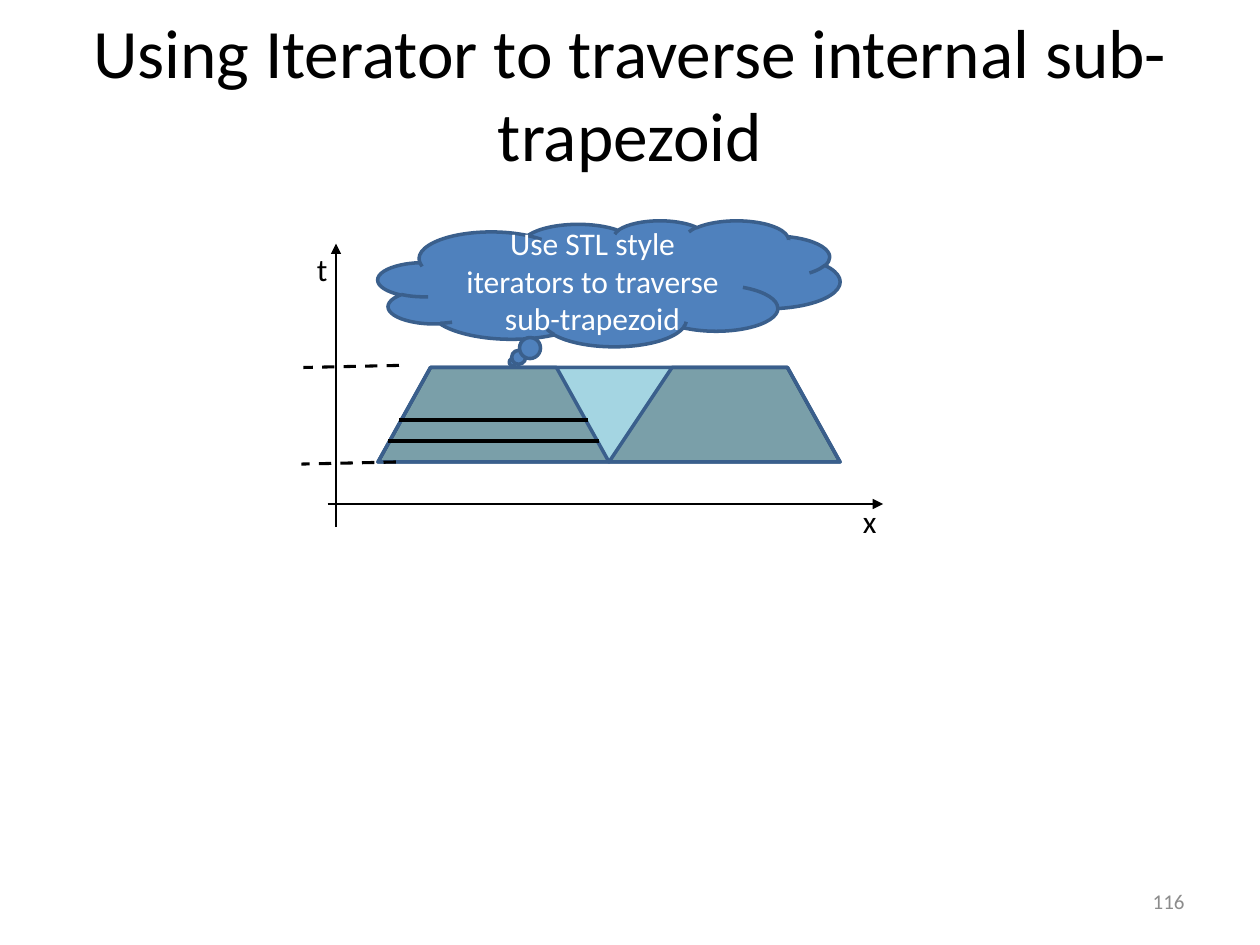
from lxml import etree
from pptx import Presentation, util as u
from pptx.dml.color import RGBColor
from pptx.enum import dml, shapes, text
from pptx.oxml.ns import qn

BLACK = RGBColor(0x00, 0x00, 0x00)
WHITE = RGBColor(0xFF, 0xFF, 0xFF)
GRAY = RGBColor(0x8C, 0x8C, 0x8C)
BLUE = RGBColor(0x4F, 0x81, 0xBD)
OUTLINE = RGBColor(0x3A, 0x5F, 0x8C)
TEAL = RGBColor(0x4B, 0xAC, 0xC6)

deck = Presentation()
deck.slide_width, deck.slide_height = u.Inches(10), u.Inches(7.5)
page = deck.slides.add_slide(deck.slide_layouts[5])
CELL = deck.slide_width / 120  # square grid, 120 columns by 90 rows


def grid(*cells):
    return [round(cell * CELL) for cell in cells]


def write(shape, words, size, color, align, anchor):
    frame = shape.text_frame
    frame.text = words
    frame.vertical_anchor = anchor
    para = frame.paragraphs[0]
    para.alignment = align
    font = para.runs[0].font
    font.name, font.size = "Calibri", u.Pt(size)
    font.color.rgb = color


LEFT, CENTER, RIGHT = text.PP_ALIGN.LEFT, text.PP_ALIGN.CENTER, text.PP_ALIGN.RIGHT
TOP, MIDDLE = text.MSO_ANCHOR.TOP, text.MSO_ANCHOR.MIDDLE

title = page.shapes.title
title.left, title.top, title.width, title.height = grid(6, 3.6, 108, 10.4)
write(title, "Using Iterator to traverse internal sub-trapezoid", 39.6, BLACK, CENTER, MIDDLE)
title.text_frame.auto_size = text.MSO_AUTO_SIZE.NONE

# Trapezoid cut into two side trapezoids around an inverted triangle
upper, lower = 35, 44
pieces = [
    (TEAL, 50, [(41, upper), (75, upper), (80, lower), (36, lower)]),
    (BLACK, 25, [(36, lower), (41, upper), (53, upper), (58, lower)]),
    (BLACK, 25, [(58, lower), (64, upper), (75, upper), (80, lower)]),
]
for color, opacity, corners in pieces:
    builder = page.shapes.build_freeform(*corners[0], scale=CELL)
    builder.add_line_segments(corners[1:], close=True)
    piece = builder.convert_to_shape()
    piece.shadow.inherit = False
    piece.fill.solid()
    piece.fill.fore_color.rgb = color
    fill_color = piece.fill._xPr.find(qn("a:solidFill"))[0]
    etree.SubElement(fill_color, qn("a:alpha"), val=str(opacity * 1000))
    piece.line.color.rgb, piece.line.width = OUTLINE, u.Pt(2)

# Start, end, width, dashed, arrowhead
lines = [
    ((31.2, 48), (84.1, 48), 0.75, False, True),
    ((32, 50.2), (32, 23.2), 0.75, False, True),
    ((37.7, 44), (28.7, 44.2), 1.75, True, False),
    ((38, 34.8), (28.9, 35), 1.75, True, False),
    ((37, 42), (57, 42), 2, False, False),
    ((38, 40), (56, 40), 2, False, False),
]
for start, end, width, dashed, arrow in lines:
    line = page.shapes.add_connector(shapes.MSO_CONNECTOR.STRAIGHT, *grid(*start, *end))
    line.line.color.rgb, line.line.width = BLACK, u.Pt(width)
    if dashed:
        line.line.dash_style = dml.MSO_LINE.DASH
    if arrow:
        etree.SubElement(line.line._get_or_add_ln(), qn("a:tailEnd"), type="triangle")
    etree.SubElement(line._element.spPr, qn("a:effectLst"))

cloud = page.shapes.add_shape(shapes.MSO_SHAPE.CLOUD_CALLOUT, *grid(36, 21, 44, 12))
cloud.shadow.inherit = False
cloud.fill.solid()
cloud.fill.fore_color.rgb = BLUE
cloud.line.color.rgb, cloud.line.width = OUTLINE, u.Pt(2)
write(cloud, "Use STL style iterators to traverse sub-trapezoid", 18, WHITE, CENTER, MIDDLE)

labels = [
    ("t", (29, 23.2, 3.6, 4.8), 18, BLACK, LEFT, TOP),
    ("x", (81, 47.2, 4.2, 4.8), 18, BLACK, LEFT, TOP),
    ("116", (86, 83.4, 28, 4.8), 12, GRAY, RIGHT, MIDDLE),
]
for words, place, *style in labels:
    box = page.shapes.add_textbox(*grid(*place))
    write(box, words, *style)

deck.save("out.pptx")
